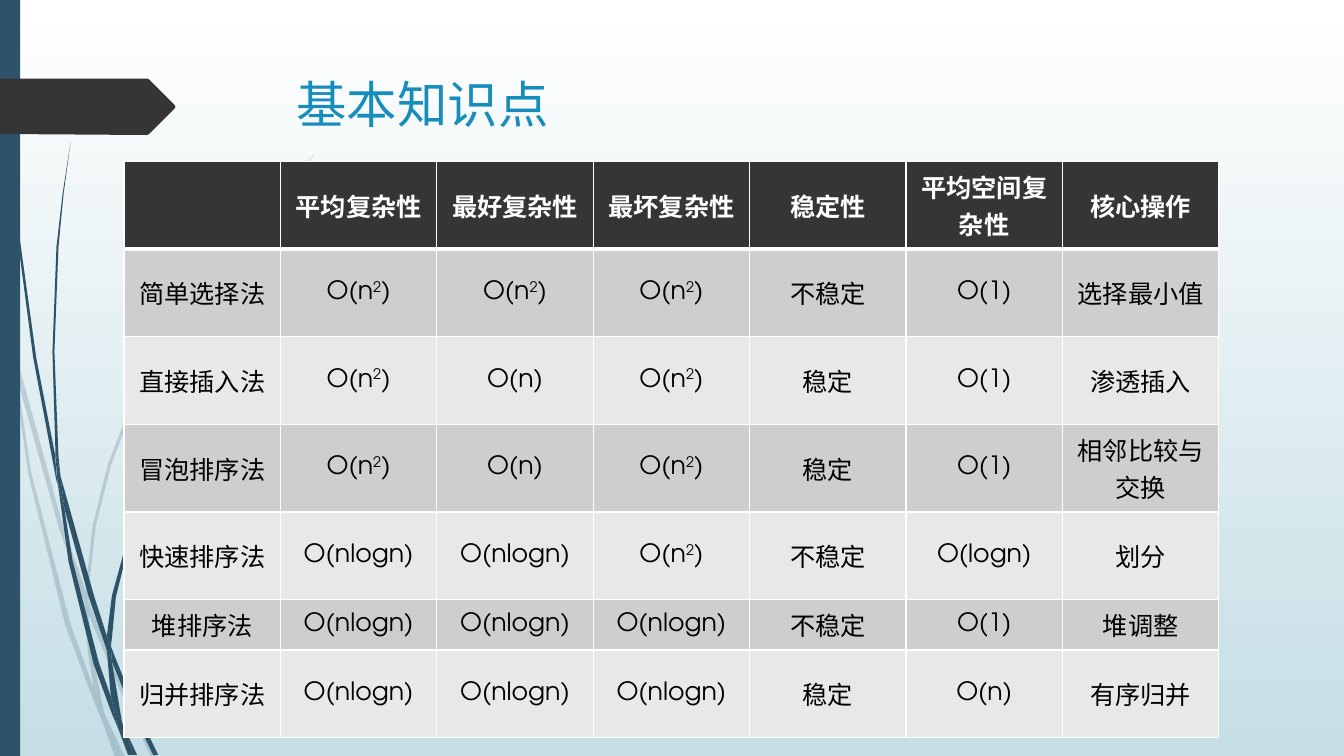
from dataclasses import dataclass

from lxml.etree import SubElement
from pptx import Presentation
from pptx.dml.color import RGBColor
from pptx.enum.shapes import MSO_SHAPE
from pptx.enum.text import MSO_ANCHOR, PP_ALIGN
from pptx.oxml.ns import qn
from pptx.util import Inches, Pt


@dataclass(frozen=True)
class Theme:
    """Colours, font and type sizes of the slide."""
    font: str = "TeX Gyre Adventor"
    title_size: int = 36
    table_size: int = 18
    title: str = "178DBB"
    stem: str = "2E5369"
    dark: str = "353535"
    white: str = "FFFFFF"
    black: str = "000000"
    sky: str = "C5DEE5"
    bands: tuple = ("CECECE", "E8E8E8")
    pale_alpha: int = 20


THEME = Theme()
TITLE = "基本知识点"
HEADINGS = ["", "平均复杂性", "最好复杂性", "最坏复杂性", "稳定性", "平均空间复杂性", "核心操作"]
# "^2" marks a superscript 2
SORTS = [
    ["简单选择法", "O(n^2)", "O(n^2)", "O(n^2)", "不稳定", "O(1)", "选择最小值"],
    ["直接插入法", "O(n^2)", "O(n)", "O(n^2)", "稳定", "O(1)", "渗透插入"],
    ["冒泡排序法", "O(n^2)", "O(n)", "O(n^2)", "稳定", "O(1)", "相邻比较与交换"],
    ["快速排序法", "O(nlogn)", "O(nlogn)", "O(n^2)", "不稳定", "O(logn)", "划分"],
    ["堆排序法", "O(nlogn)", "O(nlogn)", "O(nlogn)", "不稳定", "O(1)", "堆调整"],
    ["归并排序法", "O(nlogn)", "O(nlogn)", "O(nlogn)", "稳定", "O(n)", "有序归并"],
]
TABLE_LEFT, TABLE_TOP, TABLE_WIDTH = 1.23, 1.6, 10.86
ROW_HEIGHTS = [0.87, 0.87, 0.87, 0.87, 0.87, 0.5, 0.87]

# Outlines of the grass stems: "x,y" points in inches
PALE_STEMS = [
    "0.11,3.5 0.09,3.22 0,2.82 0,2.99 0.1,3.44",
    "0.58,5.22 0.84,5.99 0.85,5.86 0.62,5.2 0.14,3.45 0.17,3.76",
    "0.92,6.07 0.88,5.96 0.88,6.1 1.23,6.94 1.5,7.51 1.55,7.51 1.27,6.92",
    "1.19,7.51 1.24,7.51 1.05,7.11",
    "0.93,6.83 0.7,6.19 0.31,4.69 0.17,3.76 0.11,3.5 0.28,4.7 0.65,6.21 0.92,6.93 "
    "1.01,7.14 0.99,7.07",
    "0.84,5.99 0.87,6.46 0.93,6.83 0.96,6.92 1.05,7.11 1.03,7.06 0.91,6.46 0.88,6.1 0.88,6.08",
    "0.88,5.84 0.95,5.22 1.1,4.62 1.32,4.05 1.6,3.49 1.92,2.95 2.29,2.45 2.68,1.98 2.9,1.75 "
    "3.12,1.54 3.12,1.53 2.89,1.75 2.68,1.97 2.28,2.44 1.9,2.94 1.58,3.48 1.29,4.03 "
    "1.07,4.61 0.92,5.21 0.85,5.84 0.85,5.86 0.88,5.96",
    "1.01,7.14 1.14,7.51 1.19,7.51",
    "0.88,6.08 0.88,6.1 0.88,5.96 0.85,5.86 0.84,5.99",
    "0.96,6.92 0.93,6.83 0.99,7.07 1.01,7.14 1.19,7.51 1.05,7.11",
]
DARK_STEMS = [
    "0.07,1.1 0.17,2.33 0.33,3.55 0.56,4.77 0.57,4.81 0.55,4.57 0.55,4.53 0.36,3.55 "
    "0.19,2.32 0.08,1.09 0.05,0.48 0.04,0 0.03,0 0.04,0.48",
    "0.88,5.92 1.06,6.45 1.06,6.33 1.06,6.31 0.93,5.9 0.6,4.72 0.64,5.05",
    "1.13,6.49 1.1,6.41 1.11,6.56 1.32,7.08 1.52,7.49 1.57,7.49 1.36,7.06",
    "1.1,6.91 0.98,6.57 0.72,5.56 0.64,5.05 0.57,4.77 0.68,5.57 0.93,6.59 1.11,7.08 "
    "1.17,7.22 1.16,7.17",
    "0.6,4.72 0.58,4.53 0.54,3.49 0.58,2.45 0.63,1.93 0.7,1.41 0.7,1.41 0.62,1.93 "
    "0.56,2.45 0.52,3.49 0.55,4.49",
    "1.33,7.49 1.36,7.49 1.22,7.19",
    "0.57,4.77 0.64,5.05 0.6,4.72 0.55,4.49 0.55,4.53",
    "1.11,6.33 1.15,5.92 1.25,5.52 1.4,5.13 1.58,4.76 1.8,4.4 2.05,4.06 2.31,3.74 "
    "2.45,3.59 2.61,3.44 2.6,3.44 2.45,3.58 2.31,3.73 2.04,4.05 1.79,4.39 1.56,4.74 "
    "1.37,5.12 1.22,5.51 1.11,5.91 1.06,6.31 1.1,6.41",
    "1.17,7.22 1.27,7.49 1.31,7.49",
    "1.06,6.45 1.1,6.91 1.16,7.06 1.22,7.19 1.21,7.16 1.11,6.56 1.09,6.51",
    "1.06,6.45 1.09,6.51 1.11,6.56 1.1,6.41 1.06,6.31 1.06,6.33",
    "1.16,7.06 1.1,6.91 1.16,7.17 1.17,7.22 1.3,7.49 1.33,7.49 1.22,7.19",
]
PAGE_ARROW = ("0,0.78 1.46,0.78 1.48,0.79 1.73,1.04 1.74,1.06 1.73,1.08 "
              "1.48,1.33 1.46,1.34 0,1.33")


def rgb(code):
    """Turn RRGGBB into a colour."""
    return RGBColor.from_string(code)


def paint(shape, color, alpha=100):
    """Fill a shape flat, without line or shadow."""
    shape.shadow.inherit = False
    shape.line.fill.background()
    shape.fill.solid()
    shape.fill.fore_color.rgb = rgb(color)
    if alpha < 100:
        solid = shape._element.spPr.find(qn("a:solidFill"))
        SubElement(solid[0], qn("a:alpha")).set("val", str(alpha * 1000))


def draw_outline(slide, outline, color, alpha=100):
    """Draw a closed outline given as "x,y" points."""
    points = [tuple(Inches(float(n)) for n in pair.split(",")) for pair in outline.split()]
    builder = slide.shapes.build_freeform(*points[0])
    builder.add_line_segments(points[1:], close=True)
    paint(builder.convert_to_shape(), color, alpha)


def style_font(font, size, color, bold=False):
    """Set the theme font with a size, colour and weight."""
    font.name, font.size, font.bold = THEME.font, Pt(size), bold
    font.color.rgb = rgb(color)


def add_border(cell, side, width):
    """Give one side of a cell a white line."""
    line = SubElement(cell._tc.get_or_add_tcPr(), qn(f"a:ln{side}"), w=str(Pt(width)))
    solid = SubElement(line, qn("a:solidFill"))
    SubElement(solid, qn("a:srgbClr"), val=THEME.white)


def fill_cell(cell, text, row):
    """Write and format one table cell."""
    heading = row == 0
    widths = {"L": 1, "R": 1, "T": 3 if row == 1 else 1, "B": 3 if heading else 1}
    for side, width in widths.items():
        add_border(cell, side, width)
    cell.fill.solid()
    cell.fill.fore_color.rgb = rgb(THEME.dark if heading else THEME.bands[(row - 1) % 2])
    cell.vertical_anchor = MSO_ANCHOR.MIDDLE
    paragraph = cell.text_frame.paragraphs[0]
    paragraph.alignment = PP_ALIGN.CENTER
    style_font(paragraph.font, THEME.table_size, THEME.white if heading else THEME.black, heading)
    base, power, tail = text.partition("^2")
    for part in filter(None, (base, power, tail)):
        run = paragraph.add_run()
        run.text = part.lstrip("^")
        if part == power:
            run._r.get_or_add_rPr().set("baseline", "30000")


def add_complexities(slide):
    """Add the table that compares the sorting methods."""
    rows = [HEADINGS] + SORTS
    table = slide.shapes.add_table(
        len(rows), len(HEADINGS), Inches(TABLE_LEFT), Inches(TABLE_TOP),
        Inches(TABLE_WIDTH), Inches(sum(ROW_HEIGHTS))).table
    for r, (texts, height) in enumerate(zip(rows, ROW_HEIGHTS)):
        table.rows[r].height = Inches(height)
        for c, text in enumerate(texts):
            fill_cell(table.cell(r, c), text, r)


def add_backdrop(slide, height):
    """Paint the sky, the stems, the side bar and the arrow."""
    sky = slide.background.fill
    sky.gradient()
    sky.gradient_angle = 270
    for stop, color in zip(sky.gradient_stops, (THEME.white, THEME.sky)):
        stop.color.rgb = rgb(color)
    for stem in PALE_STEMS:
        draw_outline(slide, stem, THEME.stem, THEME.pale_alpha)
    for stem in DARK_STEMS:
        draw_outline(slide, stem, THEME.stem)
    paint(slide.shapes.add_shape(MSO_SHAPE.RECTANGLE, 0, 0, Inches(0.2), height), THEME.stem)
    draw_outline(slide, PAGE_ARROW, THEME.dark)


def add_title(slide):
    """Place and format the title."""
    title = slide.shapes.title
    title.left, title.top = Inches(2.84), Inches(0.68)
    title.width, title.height = Inches(9.75), Inches(1.4)
    title.text_frame.text = TITLE
    title.text_frame.vertical_anchor = MSO_ANCHOR.TOP
    paragraph = title.text_frame.paragraphs[0]
    paragraph.alignment = PP_ALIGN.LEFT
    style_font(paragraph.font, THEME.title_size, THEME.title)


deck = Presentation()
deck.slide_width, deck.slide_height = Inches(13.33), Inches(7.5)
sorting = deck.slides.add_slide(deck.slide_layouts[5])
add_backdrop(sorting, deck.slide_height)
add_title(sorting)
add_complexities(sorting)
deck.save("out.pptx")
